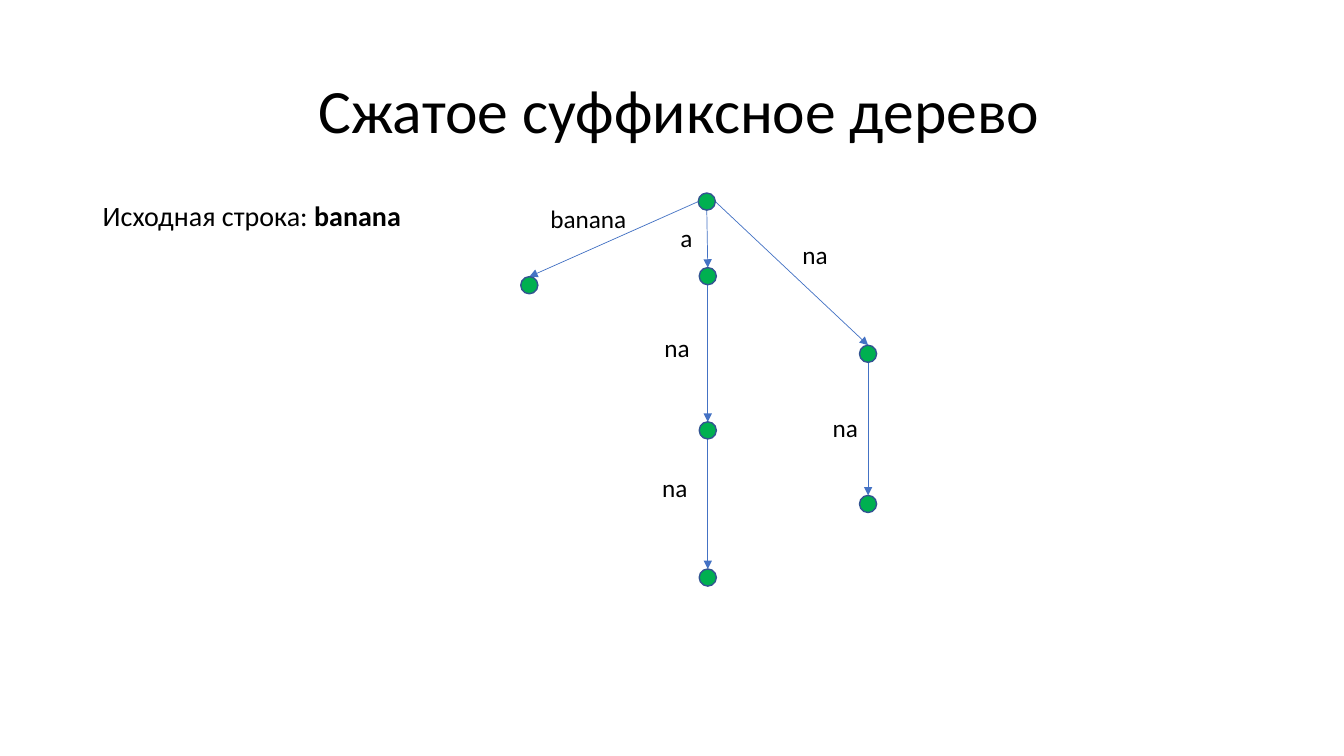
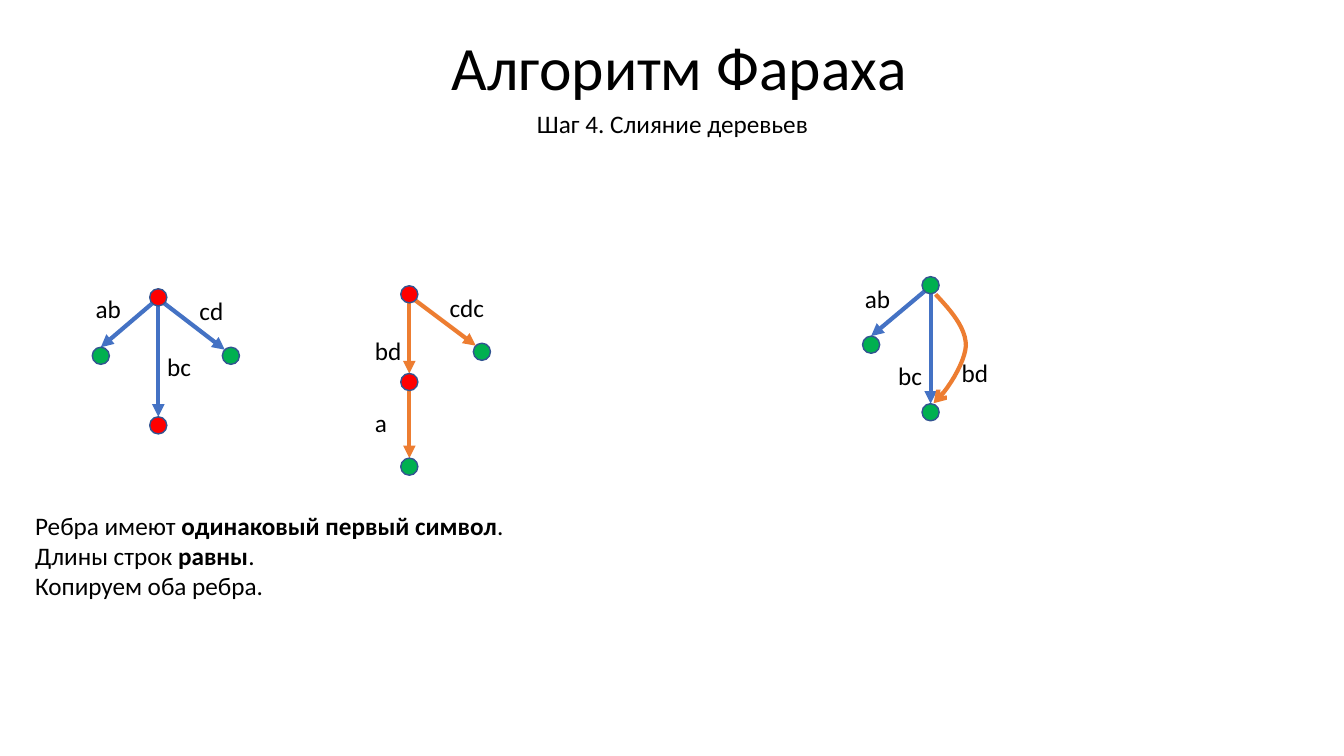
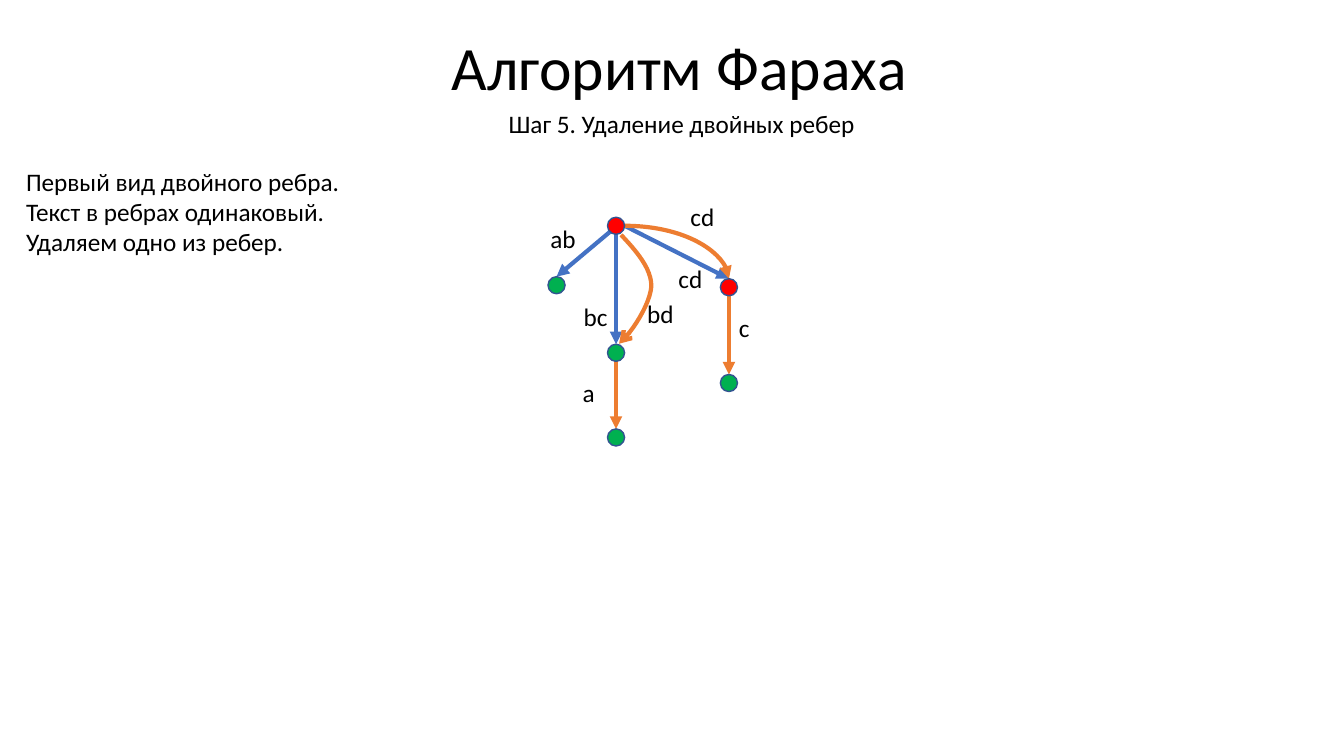
import dataclasses
import lxml.etree
import pptx
import pptx.dml.color
import pptx.enum.shapes
import pptx.enum.text
import pptx.oxml.ns
import pptx.util

Inches = pptx.util.Inches
RGBColor = pptx.dml.color.RGBColor
Kind = pptx.enum.shapes.MSO_CONNECTOR
Align = pptx.enum.text.PP_ALIGN
qn = pptx.oxml.ns.qn

BLACK = RGBColor(0, 0, 0)
GREEN = RGBColor(0x00, 0xB0, 0x50)
RED = RGBColor(0xFF, 0x00, 0x00)
RIM = RGBColor(0x32, 0x54, 0x91)
BLUE = RGBColor(0x44, 0x72, 0xC4)
ORANGE = RGBColor(0xED, 0x7D, 0x31)
FACE = "Calibri"
SIZE = 0.17
PORTS = {"N": (0, -1), "S": (0, 1), "W": (-1, 0), "E": (1, 0),
         "SW": (-0.71, 0.71), "SE": (0.71, 0.71), "NW": (-0.71, -0.71)}
BOW = [[(0.05, 0.09), (0.2, 0.25), (0.35, 0.42), (0.35, 0.6)],
       [(0.35, 0.6), (0.34, 0.77), (0.16, 1.06), (0.03, 1.17)]]
STEPS = 12


@dataclasses.dataclass
class Edge:
    start: str
    out: str
    end: str
    into: str
    color: RGBColor = BLUE
    kind: str = "line"


def style(font, size):
    font.name = FACE
    font.size = pptx.util.Pt(size)
    font.color.rgb = BLACK


def add_text(shapes, rows, x, y, w, h=0.4, size=18, align=Align.LEFT):
    box = shapes.add_textbox(Inches(x), Inches(y), Inches(w), Inches(h))
    frame = box.text_frame
    frame.word_wrap = True
    frame.auto_size = pptx.enum.text.MSO_AUTO_SIZE.SHAPE_TO_FIT_TEXT
    for i, row in enumerate(rows):
        para = frame.paragraphs[0] if i == 0 else frame.add_paragraph()
        para.alignment = align
        style(para.font, size)
        for j, part in enumerate(row.split("|")):
            if part:
                run = para.add_run()
                run.text = part
                if j % 2:
                    run.font.bold = True


def add_slide(deck, title, top):
    slide = deck.slides.add_slide(deck.slide_layouts[5])
    head = slide.shapes.title
    head.left, head.top = Inches(0.92), Inches(top)
    head.width, head.height = Inches(11.5), Inches(1.45)
    head.text_frame.text = title
    head.text_frame.vertical_anchor = pptx.enum.text.MSO_ANCHOR.MIDDLE
    para = head.text_frame.paragraphs[0]
    para.alignment = Align.CENTER
    para.line_spacing = 0.9
    style(para.font, 44)
    return slide


def add_step(deck, step, x, w):
    slide = add_slide(deck, " Алгоритм Фараха", -0.02)
    add_text(slide.shapes, [step], x, 1.03, w, align=Align.CENTER)
    return slide


def add_tip(shape, color, width, tip="triangle"):
    shape.line.color.rgb = color
    shape.line.width = pptx.util.Pt(width)
    line = shape._element.spPr.find(qn("a:ln"))
    lxml.etree.SubElement(line, qn("a:tailEnd"), type=tip)


def add_bow(shapes, x, y, color, width):
    spots = []
    for curve in BOW:
        for step in range(STEPS + 1):
            t = step / STEPS
            marks = ((1 - t) ** 3, 3 * t * (1 - t) ** 2,
                     3 * t ** 2 * (1 - t), t ** 3)
            dx = sum(m * p[0] for m, p in zip(marks, curve))
            dy = sum(m * p[1] for m, p in zip(marks, curve))
            spots.append((Inches(x + dx), Inches(y + dy)))
    build = shapes.build_freeform(*spots[0])
    build.add_line_segments(spots[1:], close=False)
    bow = build.convert_to_shape()
    bow.shadow.inherit = False
    bow.fill.background()
    add_tip(bow, color, width, "arrow")


def add_edge(shapes, start, end, edge, width):
    curved = edge.kind == "curve"
    link = shapes.add_connector(Kind.CURVE if curved else Kind.STRAIGHT,
                                *(Inches(v) for v in start + end))
    if curved:
        link._element.spPr.find(qn("a:prstGeom")).set("prst", "curvedConnector2")
    add_tip(link, edge.color, width)
    lxml.etree.SubElement(link._element.spPr, qn("a:effectLst"))


def add_node(shapes, x, y, color):
    node = shapes.add_shape(pptx.enum.shapes.MSO_SHAPE.OVAL,
                            Inches(x - SIZE / 2), Inches(y - SIZE / 2),
                            Inches(SIZE), Inches(SIZE))
    node.shadow.inherit = False
    node.fill.solid()
    node.fill.fore_color.rgb = color
    node.line.color.rgb = RIM
    node.line.width = pptx.util.Pt(1)


def add_tree(shapes, x, y, nodes, edges, labels, reds=(), width=3):
    spots = {"root": (0, 0), **nodes}

    def port(name, side):
        (dx, dy), (px, py) = spots[name], PORTS[side]
        return x + dx + px * SIZE / 2, y + dy + py * SIZE / 2

    for edge in edges:
        if edge.kind == "bow":
            add_bow(shapes, x, y, edge.color, width)
        else:
            add_edge(shapes, port(edge.start, edge.out),
                     port(edge.end, edge.into), edge, width)
    for name, (dx, dy) in spots.items():
        add_node(shapes, x + dx, y + dy, RED if name in reds else GREEN)
    for word, dx, dy, w in labels:
        add_text(shapes, [word], x + dx, y + dy, w)


def add_suffix(deck):
    slide = add_slide(deck, " Сжатое суффиксное дерево", 0.4)
    add_text(slide.shapes, ["Исходная строка: |banana|"], 0.92, 1.92, 3.69, 0.44, 20)
    add_tree(
        slide.shapes, 7.01, 2,
        {"full": (-1.76, 0.83), "a": (0.01, 0.74), "ana": (0.01, 2.27),
         "anana": (0.01, 3.73), "na": (1.6, 1.51), "nana": (1.6, 3)},
        [Edge("root", "W", "full", "N"), Edge("root", "S", "a", "N"),
         Edge("a", "S", "ana", "N"), Edge("ana", "S", "anana", "N"),
         Edge("root", "E", "na", "N"), Edge("na", "S", "nana", "N")],
        [("banana", -1.65, -0.03, 1.05), ("a", -0.36, 0.16, 0.37),
         ("na", -0.52, 1.25, 0.45), ("na", -0.54, 2.64, 0.56),
         ("na", 1.15, 2.04, 0.54), ("na", 0.85, 0.33, 0.46)],
        width=0.5)


MERGED = {"ab": (-0.59, 0.59), "bc": (0, 1.26)}
JOINS = [Edge("root", "SW", "ab", "N"), Edge("root", "S", "bc", "N"),
         Edge("root", "SE", "bc", "N", ORANGE, "bow")]
WORDS = [("ab", -0.75, -0.07, 0.48), ("bc", -0.42, 0.7, 0.48),
         ("bd", 0.21, 0.67, 0.48)]


def add_merge(deck):
    slide = add_step(deck, "Шаг 4. Слияние деревьев", 4.88, 3.58)
    add_tree(
        slide.shapes.add_group_shape().shapes, 1.57, 2.95,
        {"ab": (-0.57, 0.58), "bc": (0, 1.27), "cd": (0.72, 0.58)},
        [Edge("root", "SW", "ab", "N"), Edge("root", "S", "bc", "N"),
         Edge("root", "SE", "cd", "NW")],
        [("ab", -0.72, -0.09, 0.48), ("bc", -0.01, 0.49, 0.48),
         ("cd", 0.31, -0.07, 0.48)],
        ("root", "bc"))
    add_tree(
        slide.shapes.add_group_shape().shapes, 4.06, 2.92,
        {"bd": (0, 0.87), "cdc": (0.72, 0.57), "a": (0, 1.71)},
        [Edge("root", "S", "bd", "N", ORANGE),
         Edge("root", "SE", "cdc", "NW", ORANGE),
         Edge("bd", "S", "a", "N", ORANGE)],
        [("bd", -0.44, 0.36, 0.68), ("cdc", 0.3, -0.07, 0.68),
         ("a", -0.44, 1.07, 0.68)],
        ("root", "bd"))
    add_tree(slide.shapes.add_group_shape().shapes, 9.23, 2.83, MERGED, JOINS, WORDS)
    add_text(slide.shapes,
             ["Ребра имеют |одинаковый первый символ|.",
              "Длины строк |равны|.", "Копируем оба ребра."],
             0.25, 5.01, 6.37, 1.01)


def add_prune(deck):
    slide = add_step(deck, "Шаг 5. Удаление двойных ребер", 4.79, 3.94)
    add_tree(
        slide.shapes.add_group_shape().shapes, 6.11, 2.24,
        {**MERGED, "a": (0, 2.1), "cd": (1.12, 0.61), "c": (1.12, 1.56)},
        JOINS + [Edge("bc", "S", "a", "N", ORANGE), Edge("root", "E", "cd", "N"),
                 Edge("root", "E", "cd", "N", ORANGE, "curve"),
                 Edge("cd", "S", "c", "N", ORANGE)],
        WORDS + [("a", -0.43, 1.45, 0.68), ("cd", 0.52, 0.32, 0.48),
                 ("cd", 0.64, -0.29, 0.48), ("c", 1.12, 0.81, 0.48)],
        ("root", "cd"))
    add_text(slide.shapes,
             ["Первый вид двойного ребра.", "Текст в ребрах одинаковый.",
              "Удаляем одно из ребер."],
             0.16, 1.6, 6.37, 1.01)


deck = pptx.Presentation()
deck.slide_width, deck.slide_height = Inches(13.33), Inches(7.5)
add_suffix(deck)
add_merge(deck)
add_prune(deck)
deck.save("out.pptx")
